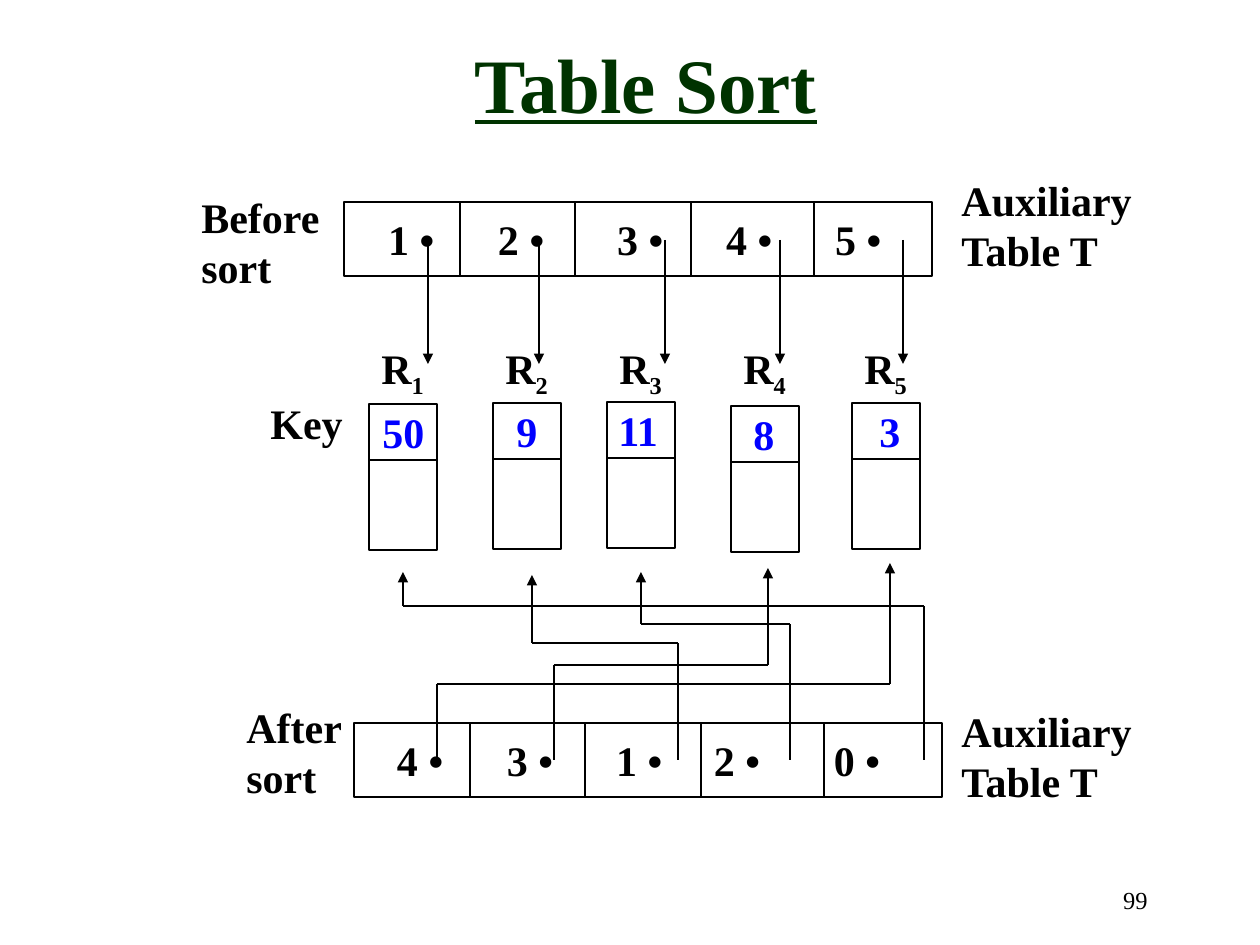
from typing import NamedTuple

from lxml.etree import SubElement
from pptx import Presentation
from pptx.dml.color import RGBColor
from pptx.enum.shapes import MSO_CONNECTOR, MSO_SHAPE
from pptx.enum.text import MSO_ANCHOR, PP_ALIGN
from pptx.oxml.ns import qn
from pptx.util import Emu, Pt

SCALE = 914400 / 126
BLACK, BLUE, GREEN = "000000", "0000FF", "003300"
FONT = "Times New Roman"


class Table(NamedTuple):
    x: int
    y: int
    items: str
    tabs: tuple[int, ...]


class Record(NamedTuple):
    x: int
    y: int
    key: str
    key_x: int
    arrow_x: int


class Route(NamedTuple):
    x: int
    bus: int
    to_x: int
    to_y: int


class Label(NamedTuple):
    x: int
    y: int
    w: int
    h: int
    text: str


TABLES = [
    Table(344, 202, "1 2 3 4 5", (44, 154, 273, 382, 491)),
    Table(354, 723, "4 3 1 2 0", (43, 153, 262, 360, 480)),
]
CUTS = (116, 231, 347, 470)
RECORDS = [
    Record(369, 404, "50", 370, 428),
    Record(493, 403, "9", 504, 539),
    Record(607, 402, "11", 606, 665),
    Record(731, 406, "8", 741, 780),
    Record(852, 403, "3", 867, 903),
]
ROUTES = [
    Route(437, 684, 890, 563),
    Route(554, 665, 768, 568),
    Route(678, 643, 532, 575),
    Route(790, 624, 641, 572),
    Route(924, 606, 403, 572),
]
LABELS = [
    Label(189, 185, 150, 114, "Before\nsort"),
    Label(949, 168, 207, 114, "Auxiliary\nTable T"),
    Label(258, 391, 108, 63, "Key"),
    Label(234, 695, 130, 114, "After\nsort"),
    Label(949, 699, 207, 114, "Auxiliary\nTable T"),
]

deck = Presentation()
deck.slide_width, deck.slide_height = Emu(9144000), Emu(6858000)
slide = deck.slides.add_slide(deck.slide_layouts[6])


def px(*nums: int) -> list[Emu]:
    return [Emu(round(n * SCALE)) for n in nums]


def rgb(color: str) -> RGBColor:
    return RGBColor.from_string(color)


def write(shape, text: str, *, size=24, color=BLACK, bold=True, under=False,
          align=PP_ALIGN.LEFT, anchor=MSO_ANCHOR.TOP, sub="", tabs=()):
    """Fill a shape with text; sub is a subscript, tabs are stops in px."""
    frame = shape.text_frame
    frame.word_wrap, frame.vertical_anchor = True, anchor
    if tabs:
        frame.margin_left = frame.margin_right = 0
    for i, line in enumerate(text.split("\n")):
        para = frame.add_paragraph() if i else frame.paragraphs[0]
        para.alignment = align
        if tabs:
            stops = SubElement(para._p.get_or_add_pPr(), qn("a:tabLst"))
            for pos in px(*tabs):
                SubElement(stops, qn("a:tab"), pos=str(pos), algn="l")
        for part in filter(None, (line, sub)):
            run = para.add_run()
            run.text = part
            font = run.font
            font.name, font.size, font.bold = FONT, Pt(size), bold
            font.underline = under
            font.color.rgb = rgb(color)
            if part is sub:
                run._r.get_or_add_rPr().set("baseline", "-25000")


def label(x: int, y: int, w: int, h: int, text: str, **style):
    write(slide.shapes.add_textbox(*px(x, y, w, h)), text, **style)


def box(x: int, y: int, w: int, h: int):
    shape = slide.shapes.add_shape(MSO_SHAPE.RECTANGLE, *px(x, y, w, h))
    shape.shadow.inherit = False
    shape.fill.background()
    shape.line.color.rgb, shape.line.width = rgb(BLACK), Pt(0.75)
    return shape


def line(x1: int, y1: int, x2: int, y2: int, arrow: bool = False):
    wire = slide.shapes.add_connector(MSO_CONNECTOR.STRAIGHT, *px(x1, y1, x2, y2))
    wire.line.color.rgb, wire.line.width = rgb(BLACK), Pt(0.75)
    props = wire._element.spPr
    if arrow:
        SubElement(props.find(qn("a:ln")), qn("a:tailEnd"), type="triangle")
    SubElement(props, qn("a:effectLst"))


def draw_table(table: Table):
    cells = "".join(f"\t{item} •" for item in table.items.split())
    write(box(table.x, table.y, 588, 74), cells, anchor=MSO_ANCHOR.MIDDLE,
          tabs=table.tabs)
    for cut in CUTS:
        line(table.x + cut, table.y, table.x + cut, table.y + 74)


def draw_record(num: int, rec: Record):
    box(rec.x, rec.y, 68, 146)
    line(rec.x, rec.y + 56, rec.x + 68, rec.y + 56)
    label(rec.x, 336, 76, 63, "R", sub=str(num))
    label(rec.key_x, rec.y - 4, 73, 63, rec.key, color=BLUE)
    line(rec.arrow_x, 240, rec.arrow_x, 364, arrow=True)


def draw_route(route: Route):
    line(route.x, 760, route.x, route.bus)
    line(route.x, route.bus, route.to_x, route.bus)
    line(route.to_x, route.bus, route.to_x, route.to_y, arrow=True)


label(147, 21, 998, 123, "Table Sort", size=44, color=GREEN, under=True,
      align=PP_ALIGN.CENTER, anchor=MSO_ANCHOR.MIDDLE)
label(898, 879, 262, 63, "99", size=14, bold=False, align=PP_ALIGN.RIGHT)
for table in TABLES:
    draw_table(table)
for num, rec in enumerate(RECORDS, 1):
    draw_record(num, rec)
for route in ROUTES:
    draw_route(route)
for item in LABELS:
    label(*item, anchor=MSO_ANCHOR.MIDDLE)

deck.save("out.pptx")
